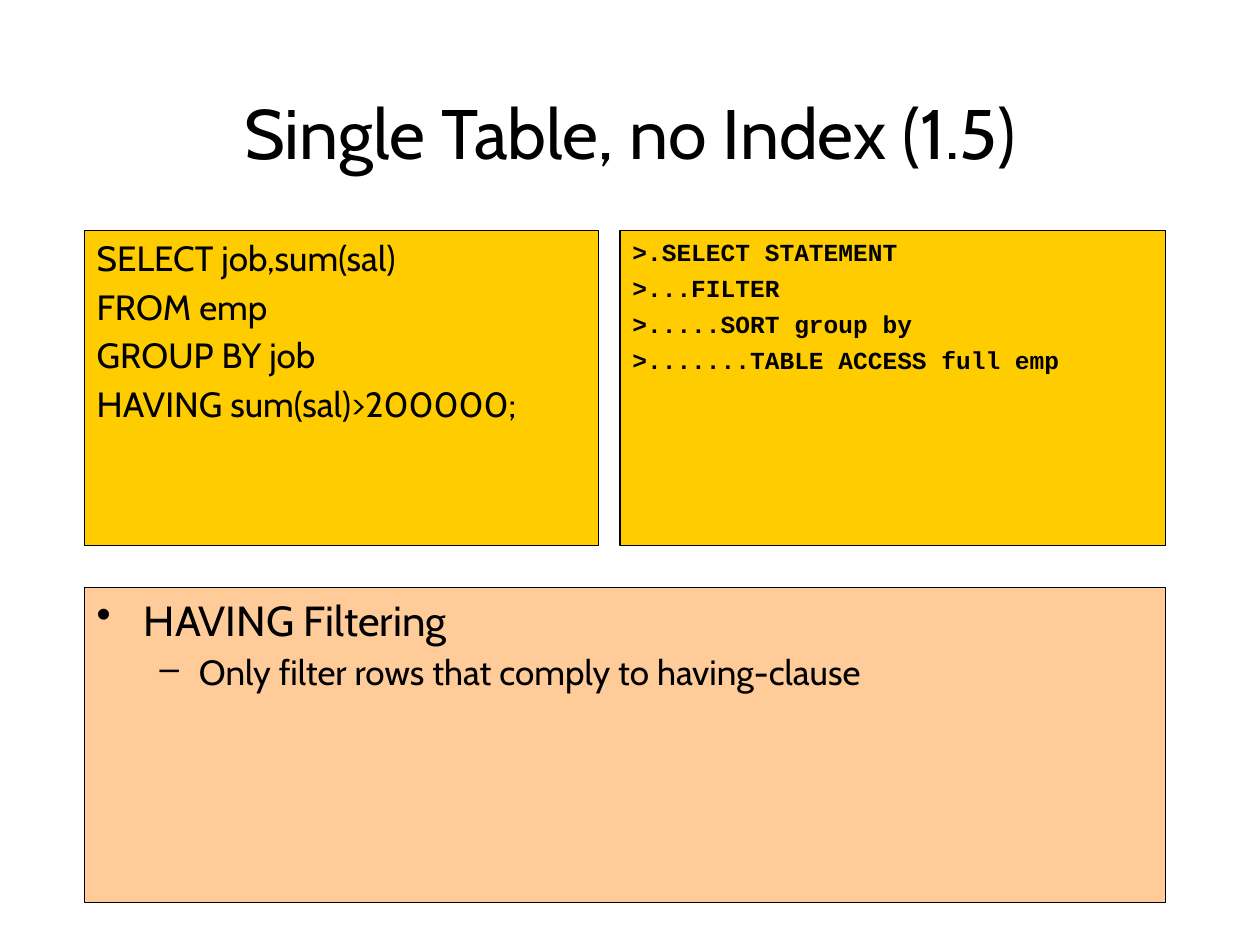
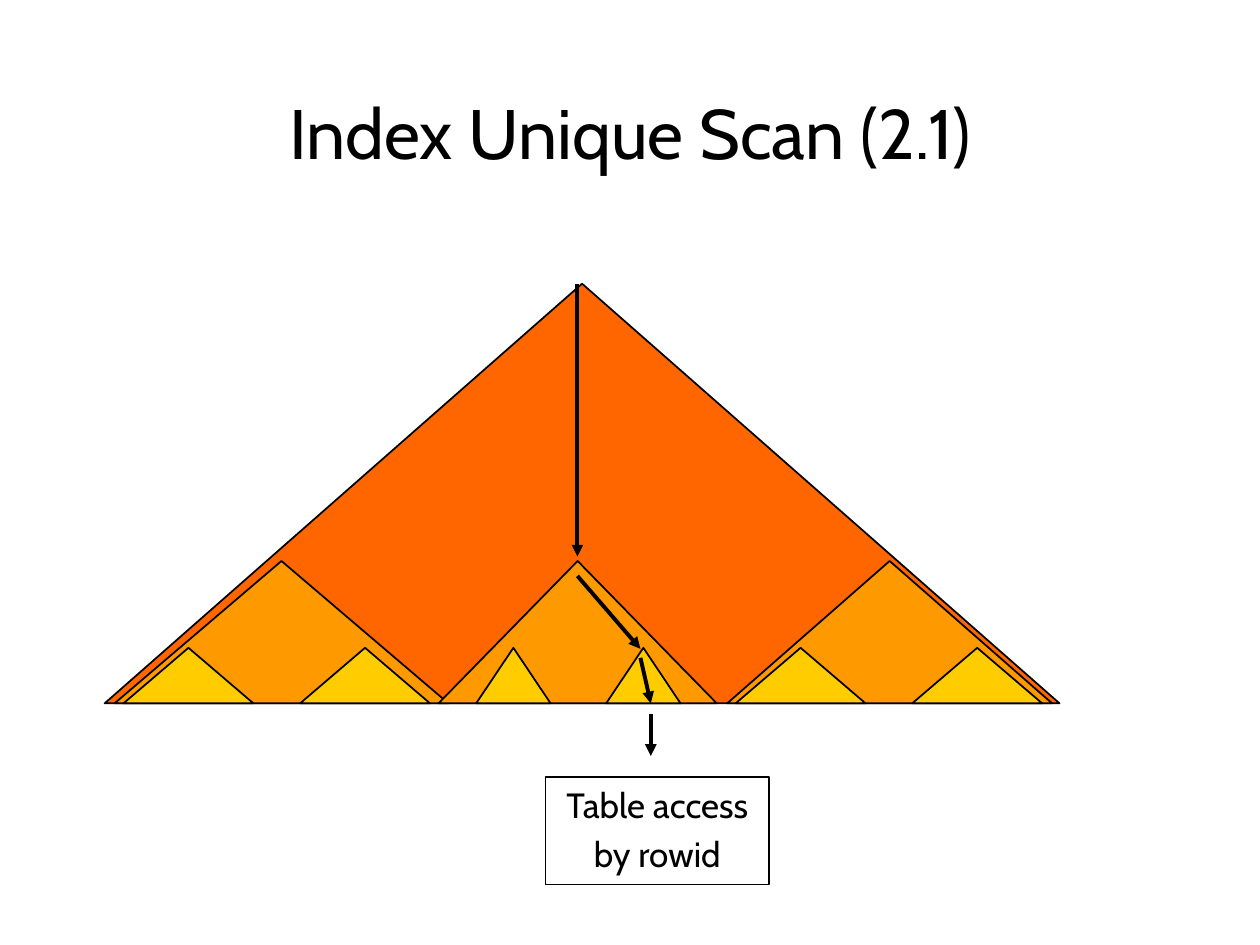
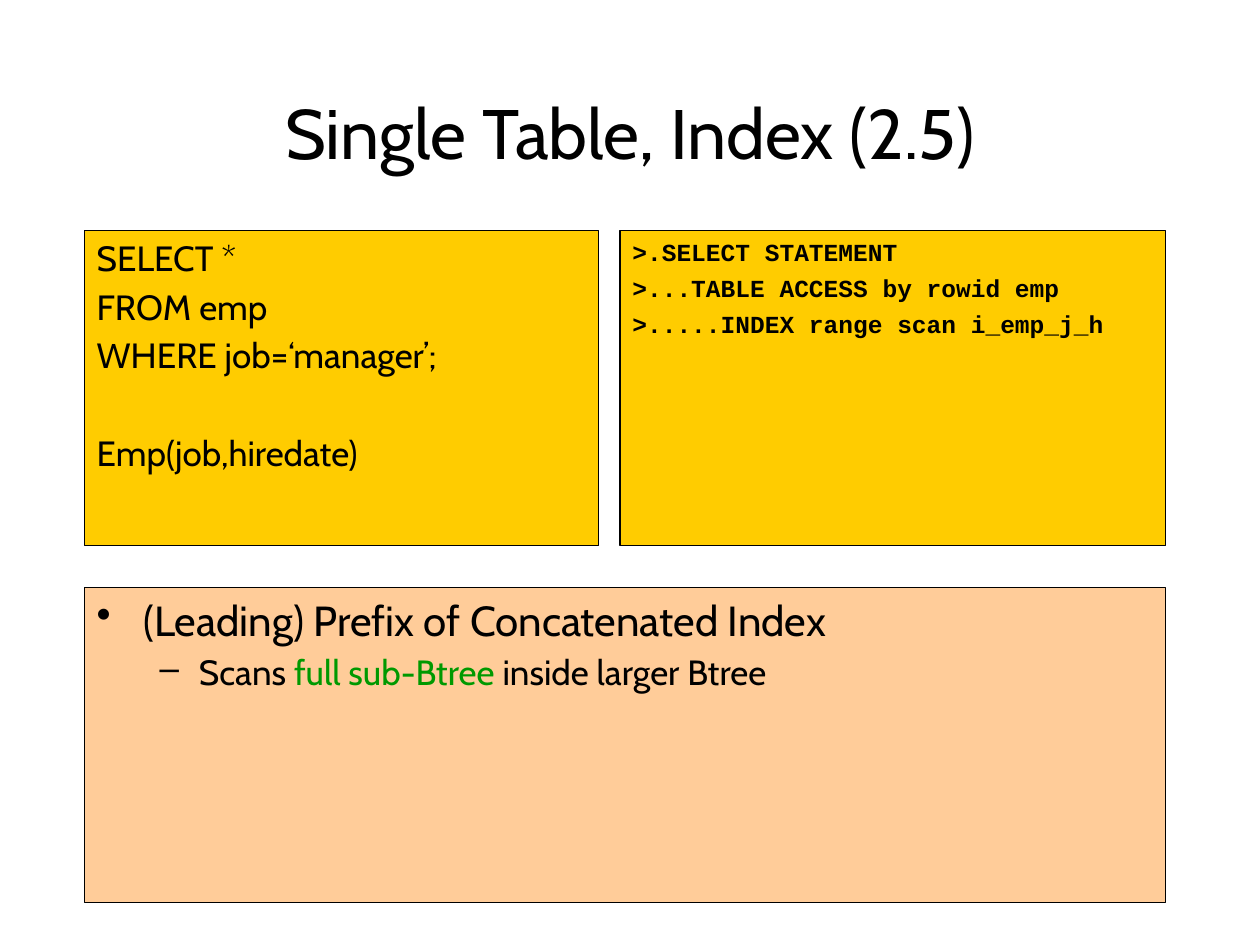
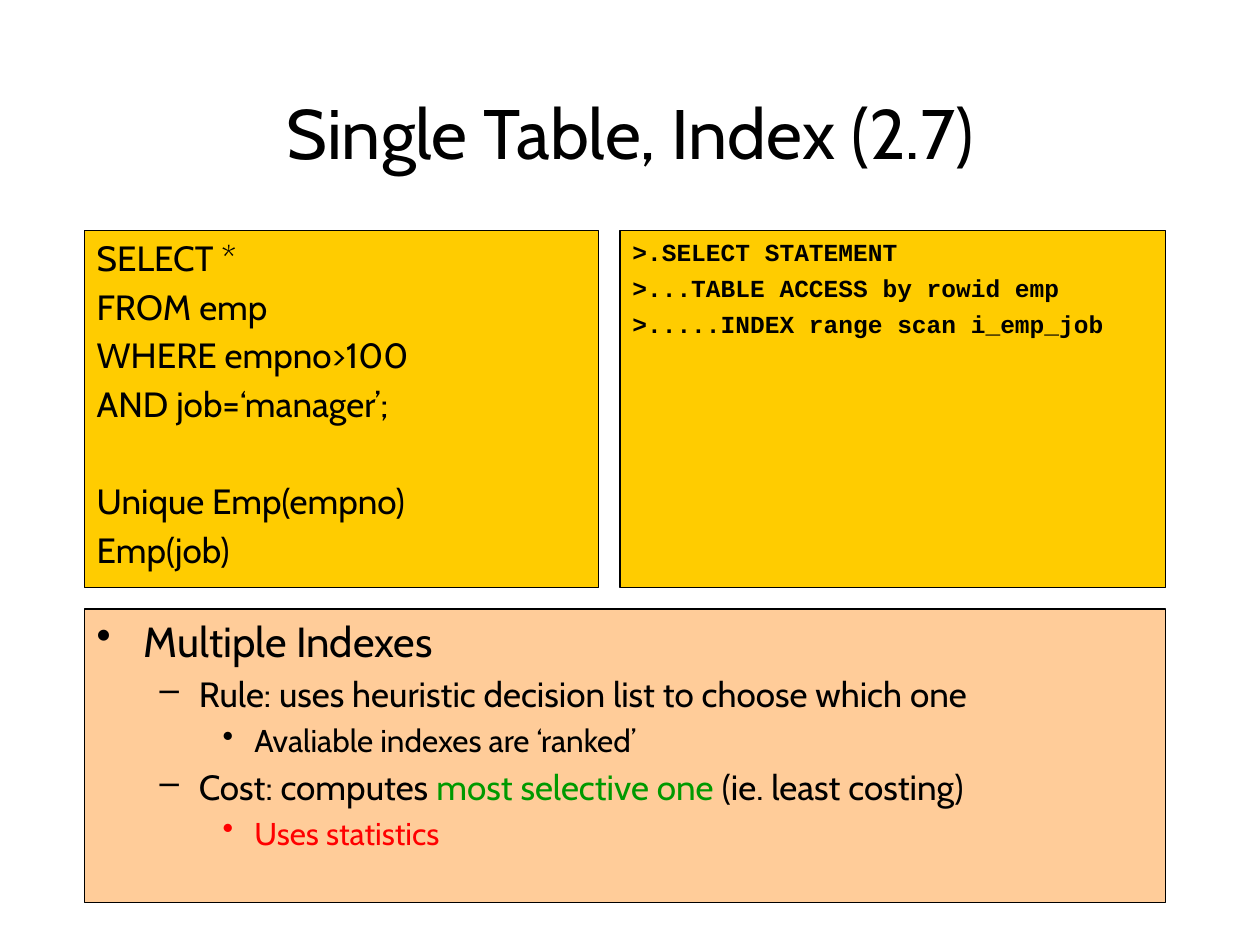
from lxml.etree import SubElement
from pptx import Presentation
from pptx.dml.color import RGBColor
from pptx.enum.shapes import MSO_CONNECTOR as Connector, MSO_SHAPE as Shape
from pptx.enum.text import MSO_ANCHOR as Anchor, PP_ALIGN as Align
from pptx.oxml.ns import qn
from pptx.util import Cm, Pt

BLACK = RGBColor(0x00, 0x00, 0x00)
GOLD = RGBColor(0xFF, 0xCC, 0x00)
PEACH = RGBColor(0xFF, 0xCC, 0x99)
AMBER = RGBColor(0xFF, 0x99, 0x00)
ORANGE = RGBColor(0xFF, 0x66, 0x00)
GREEN = RGBColor(0x00, 0x99, 0x00)
RED = RGBColor(0xFF, 0x00, 0x00)

BODY_FONT = "Cabin"
PLAN_FONT = "Courier New"
PARA_GAP = 3.7
BLANK_LINE = 28

LEFT = 1.7
PANEL_TOP = 4.65
NOTES_BOTTOM = 18.2
TREE_BASE = 14.18
LEVELS = [
    ("•", 24, 0.95, 0.95),
    ("–", 20, 2.06, 0.79),
    ("•", 18, 3.18, 0.64),
]


def add_page(deck, title):
    page = deck.slides.add_slide(deck.slide_layouts[6])
    box = page.shapes.add_textbox(Cm(1.91), Cm(1.7), Cm(21.59), Cm(1.91))
    frame = box.text_frame
    frame.word_wrap = True
    frame.vertical_anchor = Anchor.MIDDLE
    para = frame.paragraphs[0]
    para.text = title
    para.alignment = Align.CENTER
    style_font(para.font, 40)
    return page


def style_font(font, size, name=BODY_FONT, bold=False, color=BLACK):
    font.size = Pt(size)
    font.name = name
    font.bold = bold
    font.color.rgb = color


def add_outlined(page, kind, left, top, width, height, fill, line_width):
    shape = page.shapes.add_shape(kind, Cm(left), Cm(top), Cm(width), Cm(height))
    shape.shadow.inherit = False
    if fill is None:
        shape.fill.background()
    else:
        shape.fill.solid()
        shape.fill.fore_color.rgb = fill
    shape.line.color.rgb = BLACK
    shape.line.width = Pt(line_width)
    shape.text_frame.vertical_anchor = Anchor.TOP
    return shape


def next_para(frame, index, gap=PARA_GAP):
    if index == 0:
        return frame.paragraphs[0]
    para = frame.add_paragraph()
    para.space_before = Pt(gap)
    return para


def set_indent(para, margin, hanging):
    properties = para._p.get_or_add_pPr()
    properties.set("marL", str(Cm(margin)))
    properties.set("indent", str(-Cm(hanging)))
    return properties


def add_panel(page, left, width, height, groups, size, name=BODY_FONT, bold=False):
    panel = add_outlined(page, Shape.RECTANGLE, left, PANEL_TOP, width, height, GOLD, 0.75)
    index = 0
    for group in groups:
        for position, line in enumerate(group):
            gap = PARA_GAP if position else PARA_GAP + BLANK_LINE
            para = next_para(panel.text_frame, index, gap)
            para.text = line
            para.alignment = Align.LEFT
            set_indent(para, 0.95, 0.95)
            style_font(para.font, size, name, bold)
            index += 1


def add_notes(page, top, notes):
    box = add_outlined(page, Shape.RECTANGLE, LEFT, top, 21.8, NOTES_BOTTOM - top, PEACH, 0.75)
    for index, (level, *spans) in enumerate(notes):
        bullet, size, margin, hanging = LEVELS[level]
        para = next_para(box.text_frame, index)
        para.level = level
        para.alignment = Align.LEFT
        properties = set_indent(para, margin, hanging)
        SubElement(properties, qn("a:buChar")).set("char", bullet)
        style_font(para.font, size)
        for text, color in spans:
            span = para.add_run()
            span.text = text
            span.font.color.rgb = color


def add_query_page(deck, title, query, plan, notes, panel_height=6.35, notes_top=11.85):
    page = add_page(deck, title)
    add_notes(page, notes_top, notes)
    add_panel(page, 12.5, 11, panel_height, [plan], 14, PLAN_FONT, True)
    add_panel(page, LEFT, 10.37, panel_height, query, 20)


def add_subtree(page, left, width, height, fill):
    add_outlined(page, Shape.FLOWCHART_EXTRACT, left, TREE_BASE - height, width, height, fill, 1)


def add_arrow(page, start, end):
    arrow = page.shapes.add_connector(Connector.STRAIGHT, *map(Cm, start + end))
    arrow.line.color.rgb = BLACK
    arrow.line.width = Pt(2.25)
    SubElement(arrow.line._get_or_add_ln(), qn("a:tailEnd")).set("type", "triangle")
    SubElement(arrow._element.spPr, qn("a:effectLst"))


def add_label(page, left, top, width, height, lines):
    label = add_outlined(page, Shape.RECTANGLE, left, top, width, height, None, 1)
    label.text_frame.word_wrap = False
    for index, line in enumerate(lines):
        para = next_para(label.text_frame, index)
        para.text = line
        para.alignment = Align.CENTER
        style_font(para.font, 20)


def add_scan_page(deck):
    page = add_page(deck, "Index Unique Scan (2.1)")
    add_subtree(page, 2.11, 19.25, 8.46, ORANGE)
    for left, width in [(2.31, 6.73), (8.84, 5.61), (14.66, 6.55)]:
        add_subtree(page, left, width, 2.87, AMBER)
    for first, step, width in [(2.49, 3.56, 2.62), (9.6, 2.62, 1.5), (14.83, 3.56, 2.62)]:
        for left in (first, first + step):
            add_subtree(page, left, width, 1.12, GOLD)
    for start, end in [
        ((11.64, 5.72), (11.64, 11.22)),
        ((12.91, 13.26), (13.12, 14.18)),
        ((11.64, 11.61), (12.91, 13.08)),
        ((13.12, 14.4), (13.12, 15.24)),
    ]:
        add_arrow(page, start, end)
    add_label(page, 11, 15.67, 4.5, 2.16, ["Table access", "by rowid"])


def main():
    deck = Presentation()
    deck.slide_width = Cm(25.4)
    deck.slide_height = Cm(19.05)

    add_query_page(
        deck,
        "Single Table, no Index (1.5)",
        [["SELECT job,sum(sal)", "FROM emp", "GROUP BY job", "HAVING sum(sal)>200000;"]],
        [
            ">.SELECT STATEMENT",
            ">...FILTER",
            ">.....SORT group by",
            ">.......TABLE ACCESS full emp",
        ],
        [
            (0, ("HAVING Filtering", BLACK)),
            (1, ("Only filter rows that comply to having-clause", BLACK)),
        ],
    )
    add_scan_page(deck)
    add_query_page(
        deck,
        "Single Table, Index (2.5)",
        [["SELECT *", "FROM emp", "WHERE job=‘manager’;"], ["Emp(job,hiredate)"]],
        [
            ">.SELECT STATEMENT",
            ">...TABLE ACCESS by rowid emp",
            ">.....INDEX range scan i_emp_j_h",
        ],
        [
            (0, ("(Leading) Prefix of Concatenated Index", BLACK)),
            (1, ("Scans ", BLACK), ("full sub-Btree", GREEN), (" inside larger Btree", BLACK)),
        ],
    )
    add_query_page(
        deck,
        "Single Table, Index (2.7)",
        [
            ["SELECT *", "FROM emp", "WHERE empno>100", "AND job=‘manager’;"],
            ["Unique Emp(empno)", "Emp(job)"],
        ],
        [
            ">.SELECT STATEMENT",
            ">...TABLE ACCESS by rowid emp",
            ">.....INDEX range scan i_emp_job",
        ],
        [
            (0, ("Multiple Indexes", BLACK)),
            (1, ("Rule: uses heuristic decision list to choose which one", BLACK)),
            (2, ("Avaliable indexes are ‘ranked’", BLACK)),
            (1, ("Cost: computes ", BLACK), ("most selective one", GREEN),
             (" (ie. least costing)", BLACK)),
            (2, ("Uses statistics", RED)),
        ],
        panel_height=7.2,
        notes_top=12.28,
    )
    deck.save("out.pptx")


if __name__ == "__main__":
    main()
